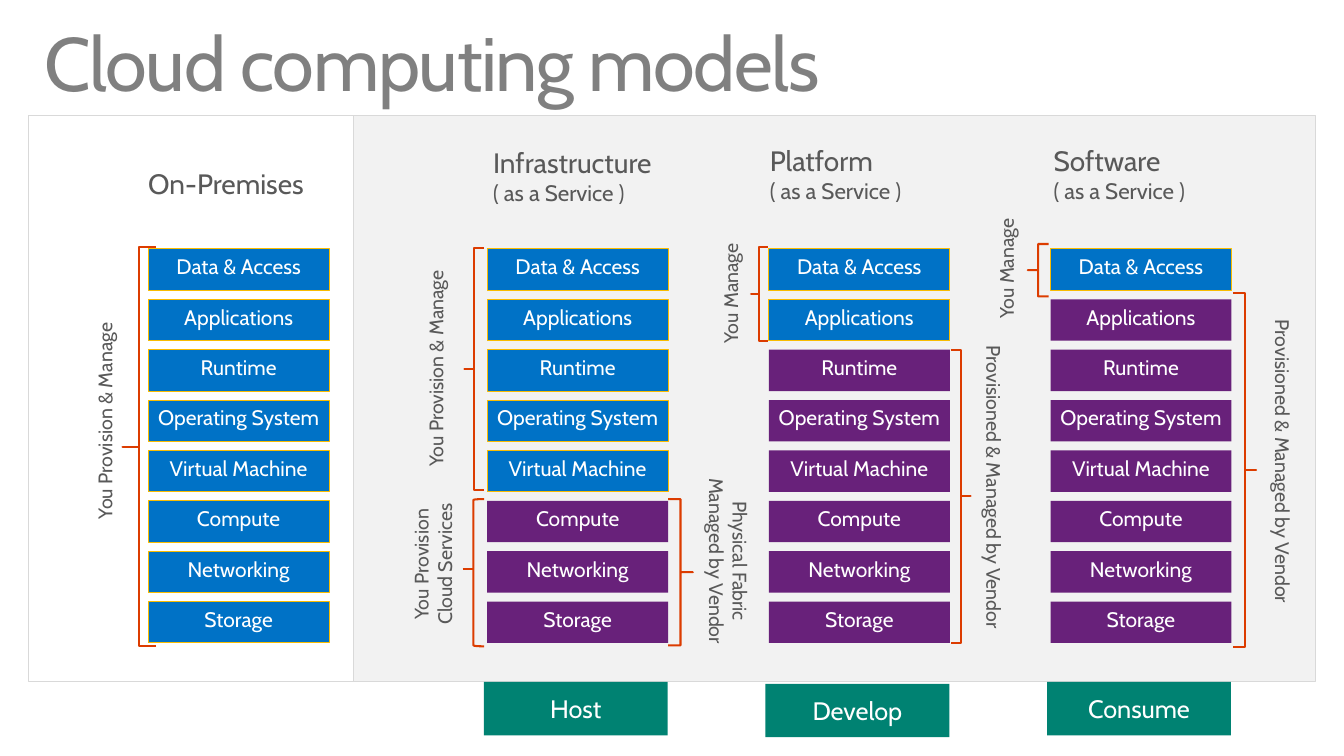
from dataclasses import dataclass, field
from lxml.etree import SubElement
from pptx import Presentation
from pptx.dml.color import RGBColor
from pptx.enum.shapes import MSO_CONNECTOR, MSO_SHAPE
from pptx.enum.text import MSO_ANCHOR, MSO_AUTO_SIZE, PP_ALIGN
from pptx.oxml.ns import qn
from pptx.util import Pt


@dataclass(frozen=True)
class Theme:
    font: str = "Cabin"
    title: str = "808080"
    text: str = "595959"
    white: str = "FFFFFF"
    panel: str = "F2F2F2"
    border: str = "D9D9D9"
    managed: str = "0072C6"
    managed_line: str = "F9BC00"
    vendor: str = "68217A"
    tag: str = "008272"
    brace: str = "DC3C00"
    title_size: float = 55.1
    heading_size: float = 20.4
    sub_size: float = 16.3
    block_size: float = 15.3
    label_size: float = 14.3
    tag_size: float = 18.4


@dataclass
class Mark:
    kind: MSO_SHAPE
    box: tuple
    lines: tuple
    label_box: tuple
    vert: str = "vert270"


@dataclass
class Model:
    x: float
    heading: tuple
    heading_at: tuple
    managed: int
    marks: list = field(default_factory=list)
    tag: str = ""
    tag_dy: float = 315.4


THEME = Theme()
LEFT, RIGHT = MSO_SHAPE.LEFT_BRACE, MSO_SHAPE.RIGHT_BRACE
BRACKET = MSO_SHAPE.LEFT_BRACKET
STACK_TOP, BLOCK_W, BLOCK_H, BLOCK_PITCH = 181.4, 131.8, 30.2, 36.7
CLOUD_X, CLOUD_PITCH = 355, 205.2
LAYERS = ("Data & Access", "Applications", "Runtime", "Operating System",
          "Virtual Machine", "Compute", "Networking", "Storage")
PROVISION = ("You Provision & Manage",)
MANAGE = ("You Manage",)
BY_VENDOR = ("Provisioned & Managed by Vendor",)
SERVICE = "( as a Service )"

MODELS = [
    Model(108, ("On-Premises",), (0, -59.8), 8, [
        Mark(LEFT, (-18.7, -1.4, 24.5, 290.9), PROVISION, (-43.9, 43.2, 31.7, 164.2))]),
    Model(CLOUD_X, ("Infrastructure", SERVICE), (4.3, -75.6), 5, [
        Mark(LEFT, (-16.6, -0.7, 14.4, 176.4), PROVISION, (-49.7, 5, 31.7, 164.2)),
        Mark(BRACKET, (-10.1, 182.2, 7.9, 107.3), ("You Provision", "Cloud Services"),
             (-60.5, 179.3, 49, 100.8)),
        Mark(RIGHT, (131.8, 182.2, 18, 106.6), ("Physical Fabric", "Managed by Vendor"),
             (147.6, 159.8, 49, 136.8), "eaVert")], "Host"),
    Model(CLOUD_X + CLOUD_PITCH, ("Platform", SERVICE), (0.7, -77), 2, [
        Mark(LEFT, (-13, -1.4, 12.2, 68.4), MANAGE, (-40.3, -10.8, 31.7, 86.4)),
        Mark(RIGHT, (132.5, 73.4, 14.4, 213.8), BY_VENDOR,
             (144.7, 63.4, 31.7, 230.4), "eaVert")], "Develop", 316.8),
    Model(CLOUD_X + 2 * CLOUD_PITCH, ("Software", SERVICE), (2.2, -77), 1, [
        Mark(LEFT, (-16.6, -3.6, 15.1, 38.2), MANAGE, (-44.6, -28.8, 31.7, 86.4)),
        Mark(RIGHT, (133.2, 32.4, 16.6, 257.8), BY_VENDOR,
             (149.8, 44.6, 31.7, 230.4), "eaVert")], "Consume"),
]


def rgb(value):
    return RGBColor.from_string(value)


def add_run(p, text, size, color):
    r = p.add_run()
    r.text = text
    r.font.name = THEME.font
    r.font.size = Pt(size)
    r.font.color.rgb = rgb(color)
    return r


def set_insets(tf, side, vertical):
    tf.margin_left = tf.margin_right = Pt(side)
    tf.margin_top = tf.margin_bottom = Pt(vertical)


def add_box(s, kind, box, fill=None, line=None, width=0.75):
    sp = s.shapes.add_shape(kind, *map(Pt, box))
    sp.shadow.inherit = False
    if fill:
        sp.fill.solid()
        sp.fill.fore_color.rgb = rgb(fill)
    else:
        sp.fill.background()
    if line:
        sp.line.color.rgb = rgb(line)
        sp.line.width = Pt(width)
    else:
        sp.line.fill.background()
    return sp


def add_caption(s, box, text, fill, line, size, anchor):
    sp = add_box(s, MSO_SHAPE.RECTANGLE, box, fill, line)
    tf = sp.text_frame
    set_insets(tf, 0, 3.6)
    tf.vertical_anchor = anchor
    p = tf.paragraphs[0]
    p.alignment = PP_ALIGN.CENTER
    add_run(p, text, size, THEME.white)


def draw_title(s, box, text):
    tf = s.shapes.add_textbox(*map(Pt, box)).text_frame
    tf.word_wrap = True
    set_insets(tf, 11.5, 7.2)
    p = tf.paragraphs[0]
    p.line_spacing = 0.9
    r = add_run(p, text, THEME.title_size, THEME.title)
    r.font._element.set("spc", "-100")


def draw_panels(s, box, split):
    x, y, w, h = box
    add_box(s, MSO_SHAPE.RECTANGLE, (x + split, y, w - split, h), THEME.panel, THEME.border)
    add_box(s, MSO_SHAPE.RECTANGLE, (x, y, split, h), None, THEME.border)


def draw_heading(s, box, lines):
    tf = s.shapes.add_textbox(*map(Pt, box)).text_frame
    tf.word_wrap = True
    set_insets(tf, 0, 0)
    for i, text in enumerate(lines):
        p = tf.add_paragraph() if i else tf.paragraphs[0]
        add_run(p, text, THEME.sub_size if i else THEME.heading_size, THEME.text)


def draw_mark(s, x, y, mark):
    dx, dy, w, h = mark.box
    sp = add_box(s, mark.kind, (x + dx, y + dy, w, h), None, THEME.brace, 1.5)
    if mark.kind == BRACKET:
        mid = y + dy + h / 2 - 2.5
        tick = s.shapes.add_connector(MSO_CONNECTOR.STRAIGHT, Pt(x + dx - 7.9), Pt(mid),
                                      Pt(x + dx + 0.7), Pt(mid))
        tick.line.color.rgb = rgb(THEME.brace)
        tick.line.width = Pt(1.5)
        SubElement(tick._element.spPr, qn("a:effectLst"))
    else:
        sp.adjustments[0] = 0
        sp.adjustments[1] = 0.5
    dx, dy, w, h = mark.label_box
    tf = s.shapes.add_textbox(Pt(x + dx), Pt(y + dy), Pt(w), Pt(h)).text_frame
    tf.word_wrap = False
    tf.auto_size = MSO_AUTO_SIZE.SHAPE_TO_FIT_TEXT
    tf._txBody.bodyPr.set("vert", mark.vert)
    p = tf.paragraphs[0]
    p.alignment = PP_ALIGN.CENTER
    for i, text in enumerate(mark.lines):
        if i:
            p.add_line_break()
        add_run(p, text, THEME.label_size, THEME.text)


def draw_model(s, x, y, model):
    dx, dy = model.heading_at
    draw_heading(s, (x + dx, y + dy, 150, 51), model.heading)
    for mark in model.marks:
        draw_mark(s, x, y, mark)
    for i, layer in enumerate(LAYERS):
        mine = i < model.managed
        add_caption(s, (x, y + i * BLOCK_PITCH, BLOCK_W, BLOCK_H), layer,
                    THEME.managed if mine else THEME.vendor,
                    THEME.managed_line if mine else None,
                    THEME.block_size, MSO_ANCHOR.TOP)
    if model.tag:
        add_caption(s, (x - 2.5, y + model.tag_dy, 134, 39), model.tag, THEME.tag, None,
                    THEME.tag_size, MSO_ANCHOR.MIDDLE)


def main():
    prs = Presentation()
    prs.slide_width, prs.slide_height = Pt(979.2), Pt(550.8)
    s = prs.slides.add_slide(prs.slide_layouts[6])
    draw_panels(s, (20.9, 84.2, 937.4, 412.6), 237)
    draw_title(s, (20.9, 11.5, 936, 72), "Cloud computing models")
    for model in MODELS:
        draw_model(s, model.x, STACK_TOP, model)
    prs.save("out.pptx")


if __name__ == "__main__":
    main()
